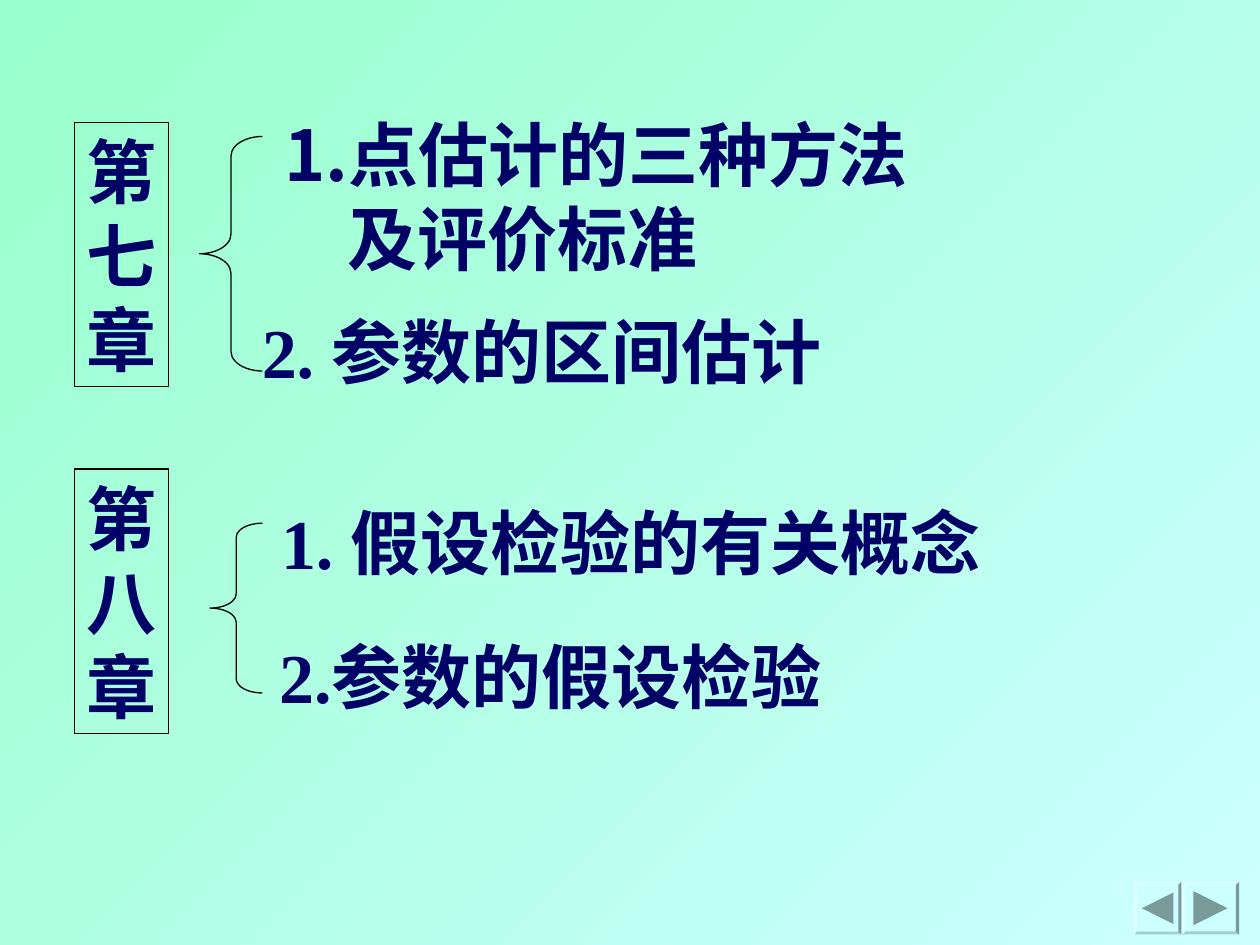
from lxml.etree import SubElement
from pptx import Presentation
from pptx.dml.color import RGBColor
from pptx.enum.shapes import MSO_SHAPE
from pptx.enum.text import MSO_ANCHOR, MSO_AUTO_SIZE, PP_ALIGN
from pptx.oxml.ns import qn
from pptx.util import Pt

FONT = "Times New Roman"
NAVY = "000066"
BLACK = "000000"
AQUA = "CCFFFF"
MINT = "99FFCC"
GRAY = "7A9999"


def rgb(value):
    return RGBColor.from_string(value)


def set_background(s):
    fill = s.background.fill
    fill.gradient()
    fill.gradient_angle = 315
    for stop, color in zip(fill.gradient_stops, (MINT, AQUA)):
        stop.color.rgb = rgb(color)


def add_number(p):
    pPr = p._p.get_or_add_pPr()
    pPr.set("indent", str(-Pt(36)))
    color = SubElement(pPr, qn("a:buClr"))
    SubElement(color, qn("a:srgbClr"), val=NAVY)
    SubElement(pPr, qn("a:buAutoNum"), type="arabicPeriod")


def write_lines(sp, lines, wrap, numbered=False):
    tf = sp.text_frame
    tf.word_wrap = wrap
    tf.auto_size = MSO_AUTO_SIZE.SHAPE_TO_FIT_TEXT
    tf.vertical_anchor = MSO_ANCHOR.TOP
    for i, line in enumerate(lines):
        p = tf.add_paragraph() if i else tf.paragraphs[0]
        if numbered:
            p._p.get_or_add_pPr().set("marL", str(Pt(36)))
            if i == 0:
                add_number(p)
        p.alignment = PP_ALIGN.LEFT
        p.line_spacing = Pt(48)
        r = p.add_run()
        r.text = line
        r.font.size = Pt(40)
        r.font.bold = True
        r.font.name = FONT
        r.font.color.rgb = rgb(NAVY)


def add_shape(s, kind, x, y, w, h, fill=None, line=None):
    sp = s.shapes.add_shape(kind, Pt(x), Pt(y), Pt(w), Pt(h))
    sp.shadow.inherit = False
    if fill:
        sp.fill.solid()
        sp.fill.fore_color.rgb = rgb(fill)
    else:
        sp.fill.background()
    if line:
        sp.line.color.rgb = rgb(line)
        sp.line.width = Pt(0.75)
    else:
        sp.line.fill.background()
    return sp


def add_chapter(s, y, name):
    sp = add_shape(s, MSO_SHAPE.RECTANGLE, 42.5, y, 54, 151, line=BLACK)
    write_lines(sp, name, wrap=False)


def add_brace(s, x, y, w, h):
    sp = add_shape(s, MSO_SHAPE.LEFT_BRACE, x, y, w, h, line=BLACK)
    sp.adjustments[0] = h / w / 12
    sp.adjustments[1] = 0.5


def add_item(s, x, y, w, lines, numbered=False):
    h = 48 * len(lines) + 7.2
    sp = s.shapes.add_textbox(Pt(x), Pt(y), Pt(w), Pt(h))
    write_lines(sp, lines, wrap=True, numbered=numbered)


def add_button(s, x, w, size, rotation):
    y, h = 504, 30
    bevel = add_shape(s, MSO_SHAPE.BEVEL, x, y, w, h, fill=AQUA)
    bevel.adjustments[0] = 0.06
    arrow = add_shape(s, MSO_SHAPE.ISOSCELES_TRIANGLE, x + (w - size) / 2,
                      y + (h - size) / 2, size, size, fill=GRAY)
    arrow.rotation = rotation


def main():
    prs = Presentation()
    prs.slide_width, prs.slide_height = Pt(720), Pt(540)
    s = prs.slides.add_slide(prs.slide_layouts[6])
    set_background(s)

    add_chapter(s, 70, "第七章")
    add_brace(s, 114, 78, 36, 134)
    add_item(s, 155.5, 60, 400, ["点估计的三种方法", "及评价标准"], numbered=True)
    add_item(s, 142.5, 173, 400, ["2. 参数的区间估计"])

    add_chapter(s, 268, "第八章")
    add_item(s, 153.5, 282, 450, ["1. 假设检验的有关概念"])
    add_item(s, 152.5, 358.5, 360, ["2.参数的假设检验"])
    add_brace(s, 120, 299, 30, 97)

    add_button(s, 648, 27, 18, 270)
    add_button(s, 675.5, 32.5, 19.5, 90)

    prs.save("out.pptx")


if __name__ == "__main__":
    main()
